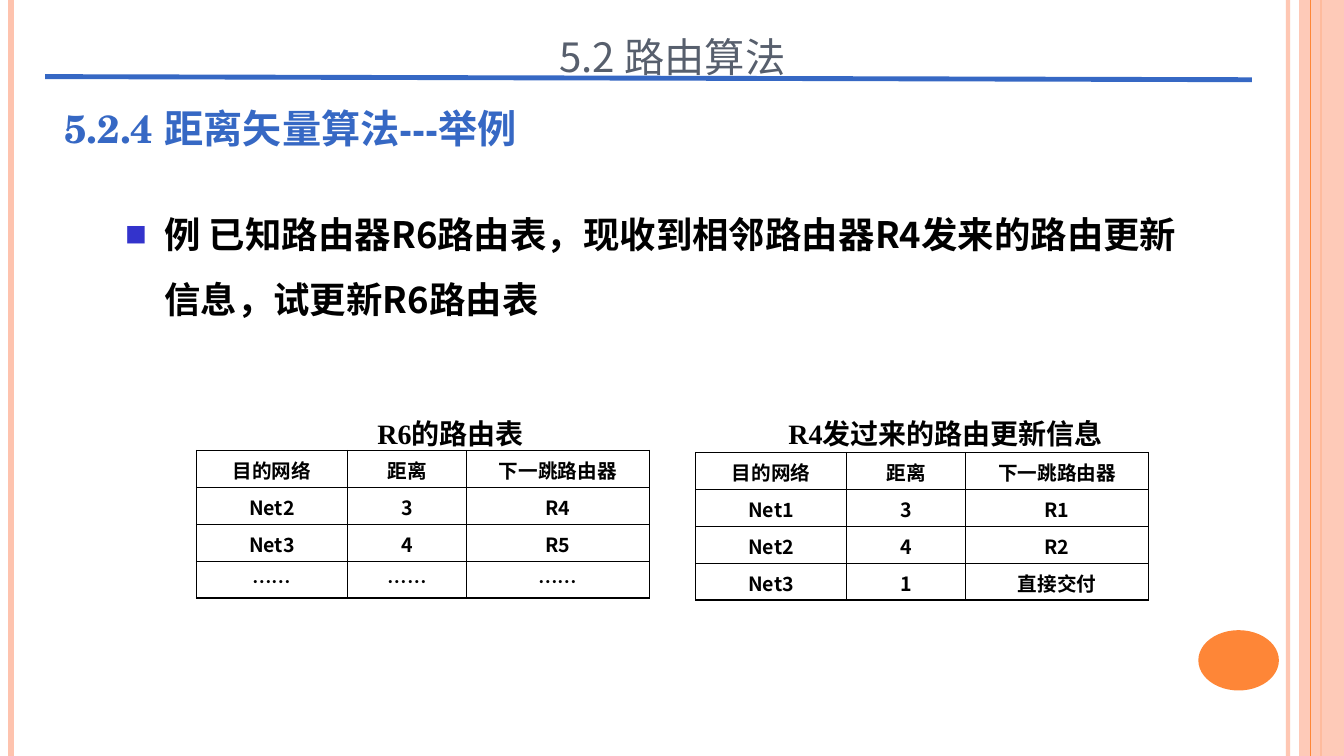
from lxml import etree
from pptx import Presentation
from pptx import util as u
from pptx.dml import color
from pptx.enum import shapes, text
from pptx.oxml import ns

SANS = "Noto Sans CJK SC"
SERIF = "Times New Roman"
SCHOOL = "TeX Gyre Schola"
BLACK, BLUE, GREY = "000000", "3668C4", "575F6D"
ORANGE, PEACH, BULLET = "FE8637", "FEC3AE", "3333CC"
HEADERS = ["目的网络", "距离", "下一跳路由器"]
COLUMN_WIDTHS = [3.81, 3, 4.6]
ROW_HEIGHT = 0.93
SLIDE_WIDTH, SLIDE_HEIGHT = 33.87, 19.05


def rgb(value):
    return color.RGBColor.from_string(value)


def add_child(parent, tag, **attributes):
    return etree.SubElement(parent, ns.qn(tag), attributes)


def set_alpha(fill_owner, percent):
    for fill_color in fill_owner.iter(ns.qn("a:srgbClr")):
        add_child(fill_color, "a:alpha", val=str(percent * 1000))


class SlideBuilder:
    def __init__(self, slide, east_asian_font=SANS):
        self.slide = slide
        self.east_asian_font = east_asian_font

    def style(self, paragraph, size, font, fill, bold=True, align=None, spacing=None):
        paragraph.alignment = align
        paragraph.line_spacing = spacing
        for run in paragraph.runs:
            run.font.size = u.Pt(size)
            run.font.name = font
            run.font.bold = bold
            run.font.color.rgb = rgb(fill)
            add_child(run.font._element, "a:ea", typeface=self.east_asian_font)

    def line(self, start, end, fill, width, alpha=None):
        points = [u.Cm(value) for value in (*start, *end)]
        connector = self.slide.shapes.add_connector(shapes.MSO_CONNECTOR.STRAIGHT, *points)
        connector.line.color.rgb = rgb(fill)
        connector.line.width = u.Pt(width)
        properties = connector._element.spPr
        add_child(properties, "a:effectLst")
        if alpha:
            set_alpha(properties, alpha)

    def shape(self, kind, box, fill, alpha=None):
        shape = self.slide.shapes.add_shape(kind, *map(u.Cm, box))
        shape.shadow.inherit = False
        shape.fill.solid()
        shape.fill.fore_color.rgb = rgb(fill)
        shape.line.fill.background()
        if alpha:
            set_alpha(shape._element.spPr, alpha)

    def textbox(self, box, content, anchor=text.MSO_ANCHOR.TOP, **style):
        text_frame = self.slide.shapes.add_textbox(*map(u.Cm, box)).text_frame
        text_frame.word_wrap = True
        text_frame.vertical_anchor = anchor
        text_frame.text = content
        paragraph = text_frame.paragraphs[0]
        self.style(paragraph, **style)
        return paragraph

    def bullet(self, paragraph, character, fill, percent, indent):
        properties = paragraph._p.get_or_add_pPr()
        properties.set("marL", str(u.Cm(indent)))
        properties.set("indent", str(-u.Cm(indent)))
        add_child(add_child(properties, "a:buClr"), "a:srgbClr", val=fill)
        add_child(properties, "a:buSzPct", val=str(percent * 1000))
        add_child(properties, "a:buFont", typeface=self.east_asian_font)
        add_child(properties, "a:buChar", char=character)

    def border(self, cell, fill, width):
        properties = cell._tc.get_or_add_tcPr()
        for position, side in enumerate(("a:lnL", "a:lnR", "a:lnT", "a:lnB")):
            edge = add_child(properties, side, w=str(u.Pt(width)))
            add_child(add_child(edge, "a:solidFill"), "a:srgbClr", val=fill)
            properties.insert(position, edge)

    def table(self, left, top, rows):
        size = (sum(COLUMN_WIDTHS), ROW_HEIGHT * len(rows))
        frame = self.slide.shapes.add_table(
            len(rows), len(COLUMN_WIDTHS), *map(u.Cm, (left, top, *size)))
        table = frame.table
        table.first_row = table.horz_banding = False
        for column, width in zip(table.columns, COLUMN_WIDTHS):
            column.width = u.Cm(width)
        for row, values in zip(table.rows, rows):
            row.height = u.Cm(ROW_HEIGHT)
            for cell, value in zip(row.cells, values):
                cell.text_frame.text = value
                cell.fill.background()
                self.style(cell.text_frame.paragraphs[0], 14, SANS, BLACK,
                           align=text.PP_ALIGN.CENTER)
                self.border(cell, BLACK, 1)


def main():
    presentation = Presentation()
    presentation.slide_width = u.Cm(SLIDE_WIDTH)
    presentation.slide_height = u.Cm(SLIDE_HEIGHT)
    builder = SlideBuilder(presentation.slides.add_slide(presentation.slide_layouts[6]))
    center, bottom = text.PP_ALIGN.CENTER, text.MSO_ANCHOR.BOTTOM

    def stripe(x, fill, width, alpha=None):
        builder.line((x, 0), (x, SLIDE_HEIGHT), fill, width, alpha)

    stripe(32.46, PEACH, 3, 93)
    stripe(0.28, PEACH, 4.5)
    stripe(33.3, ORANGE, 1.5)
    builder.shape(shapes.MSO_SHAPE.RECTANGLE, (32.74, 0, 1.13, SLIDE_HEIGHT), PEACH, 87)
    stripe(33.02, ORANGE, 0.75)
    builder.shape(shapes.MSO_SHAPE.OVAL, (30.2, 15.88, 2.03, 1.52), ORANGE)

    question = builder.textbox(
        (2.92, 4.67, 27.2, 4.11),
        "例 已知路由器R6路由表，现收到相邻路由器R4发来的路由更新信息，试更新R6路由表",
        size=26, font=SANS, fill=BLACK, spacing=1.5)
    builder.bullet(question, "■", BULLET, 60, 0.97)

    builder.table(4.95, 11.35, [
        HEADERS, ["Net2", "3", "R4"], ["Net3", "4", "R5"], ["……"] * 3])
    builder.table(17.53, 11.4, [
        HEADERS, ["Net1", "3", "R1"], ["Net2", "4", "R2"], ["Net3", "1", "直接交付"]])
    for left, width, caption in ((8.86, 5, "R6的路由表"),
                                 (19.43, 8.81, "R4发过来的路由更新信息")):
        builder.textbox((left, 10.21, width, 1.27), caption, size=20, font=SERIF,
                        fill=BLACK, align=center, spacing=1.2)

    title = builder.textbox((5.64, 0.13, 22.61, 2.08), "5.2 路由算法", bottom, size=36,
                            font=SANS, fill=GREY, bold=False, align=center, spacing=1.5)
    title.runs[0].font._element.set("cap", "small")
    builder.line((1.14, 1.93), (31.55, 2.01), BLUE, 3.5)
    builder.textbox((1.37, 1.9, 15.95, 2.06), "5.2.4 距离矢量算法---举例", bottom,
                    size=28, font=SCHOOL, fill=BLUE, spacing=0.9)

    presentation.save("out.pptx")


if __name__ == "__main__":
    main()
